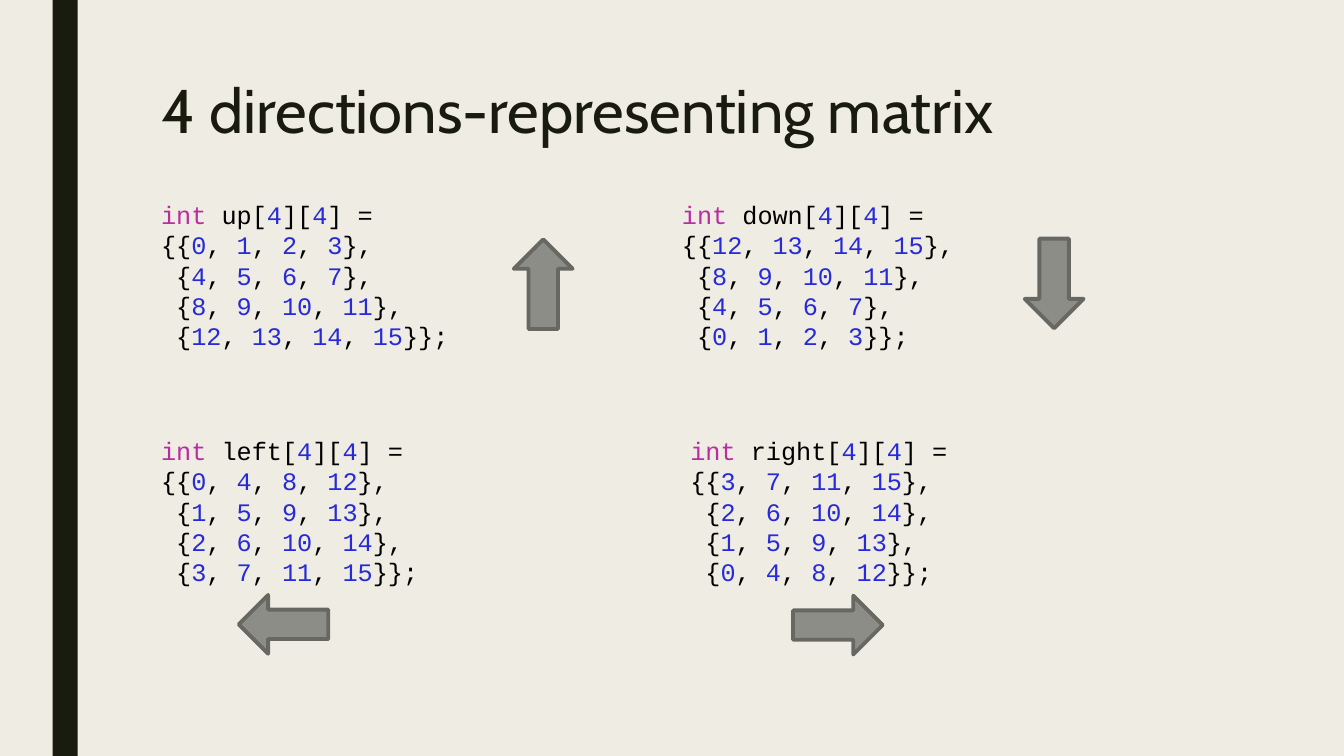
from itertools import groupby

from pptx import Presentation
from pptx.dml.color import RGBColor
from pptx.enum import shapes, text
from pptx.util import Pt

BACKGROUND = RGBColor(0xEF, 0xED, 0xE3)
DARK = RGBColor(0x19, 0x1B, 0x0E)
KEYWORD = RGBColor(0xBA, 0x2D, 0xA2)
NUMBER = RGBColor(0x27, 0x2A, 0xD8)
BLACK = RGBColor(0, 0, 0)
ARROW_FILL = RGBColor(0x8C, 0x8D, 0x86)
ARROW_LINE = RGBColor(0x68, 0x68, 0x63)

DIRECTIONS = [
    ("right", (486, 307.5), (577.5, 414.5), 270,
     [[3, 7, 11, 15], [2, 6, 10, 14], [1, 5, 9, 13], [0, 4, 8, 12]]),
    ("left", (108, 307.5), (181.5, 414), 90,
     [[0, 4, 8, 12], [1, 5, 9, 13], [2, 6, 10, 14], [3, 7, 11, 15]]),
    ("up", (108, 139), (367, 171), 180,
     [[0, 1, 2, 3], [4, 5, 6, 7], [8, 9, 10, 11], [12, 13, 14, 15]]),
    ("down", (480, 139), (732, 170.5), 0,
     [[12, 13, 14, 15], [8, 9, 10, 11], [4, 5, 6, 7], [0, 1, 2, 3]]),
]


def add_bar(slide):
    sp = slide.shapes.add_shape(
        shapes.MSO_SHAPE.RECTANGLE, Pt(37.5), Pt(0), Pt(18), Pt(540))
    sp.shadow.inherit = False
    sp.fill.solid()
    sp.fill.fore_color.rgb = DARK
    sp.line.fill.background()


def add_title(slide, title):
    sp = slide.shapes.add_textbox(Pt(108), Pt(54), Pt(756), Pt(117))
    tf = sp.text_frame
    tf.word_wrap = True
    p = tf.paragraphs[0]
    p.text = title
    p.line_spacing = 0.89
    p.font.name = "Cabin"
    p.font.size = Pt(44)
    p.font.color.rgb = DARK


def add_run(p, content, color):
    r = p.add_run()
    r.text = content
    r.font.color.rgb = color


def add_code_line(p, line):
    p.font.name = "Courier New"
    p.font.size = Pt(18)
    if line.startswith("int"):
        add_run(p, "int", KEYWORD)
        line = line[3:]
    for is_number, chars in groupby(line, str.isdigit):
        add_run(p, "".join(chars), NUMBER if is_number else BLACK)


def matrix_lines(name, matrix):
    rows = ["{" + ", ".join(map(str, row)) + "}" for row in matrix]
    body = ",\n ".join(rows)
    return [f"int {name}[4][4] =", *f"{{{body}}};".split("\n")]


def add_matrix(slide, name, left, top, matrix):
    sp = slide.shapes.add_textbox(Pt(left), Pt(top), Pt(480), Pt(116.5))
    tf = sp.text_frame
    tf.word_wrap = True
    tf.auto_size = text.MSO_AUTO_SIZE.SHAPE_TO_FIT_TEXT
    for i, line in enumerate(matrix_lines(name, matrix)):
        add_code_line(tf.add_paragraph() if i else tf.paragraphs[0], line)


def add_arrow(slide, left, top, rotation):
    sp = slide.shapes.add_shape(
        shapes.MSO_SHAPE.DOWN_ARROW, Pt(left), Pt(top), Pt(42), Pt(64))
    sp.rotation = rotation
    sp.shadow.inherit = False
    sp.fill.solid()
    sp.fill.fore_color.rgb = ARROW_FILL
    sp.line.color.rgb = ARROW_LINE
    sp.line.width = Pt(2.75)


def main():
    prs = Presentation()
    prs.slide_width, prs.slide_height = Pt(960), Pt(540)
    slide = prs.slides.add_slide(prs.slide_layouts[6])
    slide.background.fill.solid()
    slide.background.fill.fore_color.rgb = BACKGROUND
    add_bar(slide)
    add_title(slide, "4 directions-representing matrix")
    for name, code_at, arrow_at, rotation, matrix in DIRECTIONS:
        add_matrix(slide, name, *code_at, matrix)
        add_arrow(slide, *arrow_at, rotation)
    prs.save("out.pptx")


if __name__ == "__main__":
    main()
